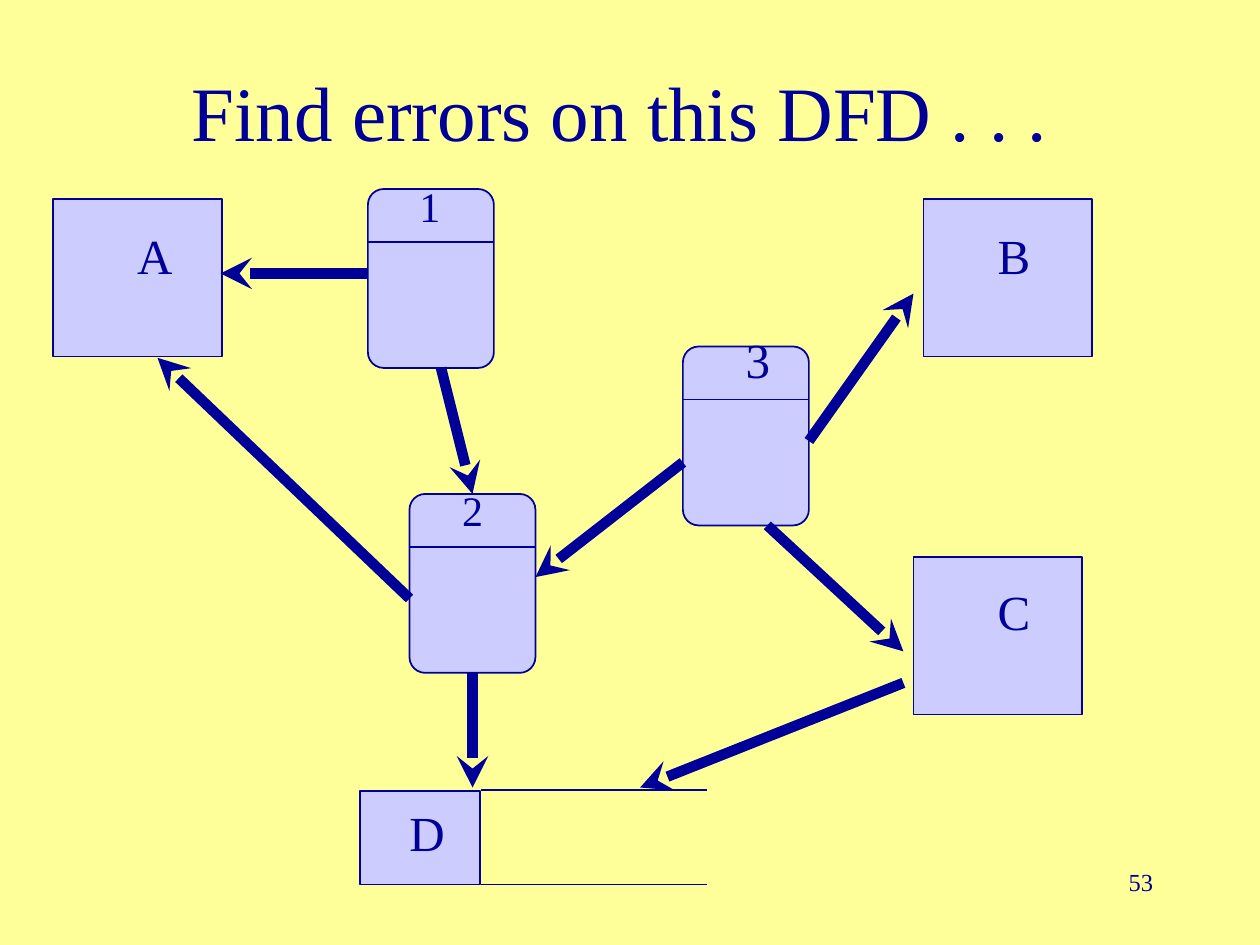
from dataclasses import dataclass

from lxml import etree
from pptx import Presentation
from pptx import util as u
from pptx.dml.color import RGBColor
from pptx.enum import shapes, text
from pptx.oxml.ns import qn


@dataclass(frozen=True)
class Theme:
    paper: RGBColor = RGBColor(0xFF, 0xFF, 0x99)
    ink: RGBColor = RGBColor(0x00, 0x00, 0x99)
    panel: RGBColor = RGBColor(0xCC, 0xCC, 0xFF)
    font: str = "Times New Roman"
    title: int = 44
    label: int = 28
    small_label: int = 24
    page: int = 14
    outline: int = 1
    flow: int = 6


THEME = Theme()
TITLE = ("Find errors on this DFD . . .", (0.67, 0.25, 8.5, 1.25))
PAGE = ("53", (7.17, 6.83, 2.08, 0.5))

ENTITY_SIZE = (1.34, 1.25)
PROCESS_SIZE = (1, 1.42)
HEADER_HEIGHT = 0.42
CORNER = 0.125

# name: (left, top) of the box
ENTITIES = {"A": (0.42, 1.58), "B": (7.33, 1.58), "C": (7.25, 4.42)}
PROCESSES = {"1": (2.92, 1.5), "2": (3.25, 3.92), "3": (5.42, 2.75)}
STORE_BOX = (2.86, 6.28, 0.95, 0.74)
STORE_LINES = {"left": 3.82, "right": 5.61, "heights": (6.27, 7.02)}

# name, (left, top, width, height), type size
LABELS = [
    ("A", (0.99, 1.74, 0.48, 0.57), THEME.label),
    ("B", (7.82, 1.74, 0.46, 0.57), THEME.label),
    ("C", (7.82, 4.57, 0.46, 0.57), THEME.label),
    ("D", (3.15, 6.32, 0.48, 0.57), THEME.label),
    ("1", (3.23, 1.38, 0.36, 0.5), THEME.small_label),
    ("2", (3.57, 3.8, 0.36, 0.5), THEME.small_label),
    ("3", (5.82, 2.57, 0.39, 0.57), THEME.label),
]

# start, end, (process, side) joined at the start, the same at the end
TOP, BOTTOM = 0, 2
FLOWS = [
    ((2.92, 2.17), (1.75, 2.17), None, None),
    ((6.42, 3.5), (7.25, 2.33), None, None),
    ((6.09, 4.17), (7.17, 5.17), None, None),
    ((3.75, 5.34), (3.75, 6.25), ("2", BOTTOM), None),
    ((7.17, 5.42), (5.08, 6.25), None, None),
    ((3.5, 2.92), (3.75, 3.92), None, ("2", TOP)),
    ((5.42, 3.67), (4.25, 4.58), None, None),
    ((3.25, 4.75), (1.25, 2.84), None, None),
]


def add_box(slide, preset, place):
    box = slide.shapes.add_shape(preset, *map(u.Inches, place))
    box.shadow.inherit = False
    box.fill.solid()
    box.fill.fore_color.rgb = THEME.panel
    box.line.color.rgb = THEME.ink
    box.line.width = u.Pt(THEME.outline)
    return box


def add_line(slide, start, end, width=THEME.outline):
    line = slide.shapes.add_connector(
        shapes.MSO_CONNECTOR.STRAIGHT, *map(u.Inches, (*start, *end)))
    line.line.color.rgb = THEME.ink
    line.line.width = u.Pt(width)
    etree.SubElement(line._element.spPr, qn("a:effectLst"))
    return line


def add_process(slide, corner):
    left, top = corner
    width, _ = PROCESS_SIZE
    body = add_box(slide, shapes.MSO_SHAPE.ROUNDED_RECTANGLE, (*corner, *PROCESS_SIZE))
    body.adjustments[0] = CORNER
    divider = top + HEADER_HEIGHT
    add_line(slide, (left, divider), (left + width, divider))
    return body


def add_flow(slide, processes, start, end, source, target):
    flow = add_line(slide, start, end, THEME.flow)
    etree.SubElement(flow.line._get_or_add_ln(), qn("a:tailEnd"), type="stealth")
    if source:
        name, side = source
        flow.begin_connect(processes[name], side)
    if target:
        name, side = target
        flow.end_connect(processes[name], side)


def add_text(slide, words, place, size, align=text.PP_ALIGN.LEFT,
             anchor=text.MSO_ANCHOR.TOP, wrap=True):
    frame = slide.shapes.add_textbox(*map(u.Inches, place)).text_frame
    frame.word_wrap = wrap
    frame.vertical_anchor = anchor
    frame.text = words
    paragraph = frame.paragraphs[0]
    paragraph.alignment = align
    font = paragraph.runs[0].font
    font.name = THEME.font
    font.size = u.Pt(size)
    font.color.rgb = THEME.ink


def main():
    deck = Presentation()
    deck.slide_width, deck.slide_height = u.Inches(10), u.Inches(7.5)
    slide = deck.slides.add_slide(deck.slide_layouts[6])
    slide.background.fill.solid()
    slide.background.fill.fore_color.rgb = THEME.paper

    add_text(slide, *TITLE, THEME.title, text.PP_ALIGN.CENTER, text.MSO_ANCHOR.MIDDLE)

    for corner in ENTITIES.values():
        add_box(slide, shapes.MSO_SHAPE.RECTANGLE, (*corner, *ENTITY_SIZE))
    processes = {name: add_process(slide, corner) for name, corner in PROCESSES.items()}

    add_box(slide, shapes.MSO_SHAPE.RECTANGLE, STORE_BOX)
    for height in STORE_LINES["heights"]:
        add_line(slide, (STORE_LINES["left"], height), (STORE_LINES["right"], height))

    for flow in FLOWS:
        add_flow(slide, processes, *flow)
    for name, place, size in LABELS:
        add_text(slide, name, place, size, wrap=False)
    add_text(slide, *PAGE, THEME.page, text.PP_ALIGN.RIGHT)

    deck.save("out.pptx")


if __name__ == "__main__":
    main()
